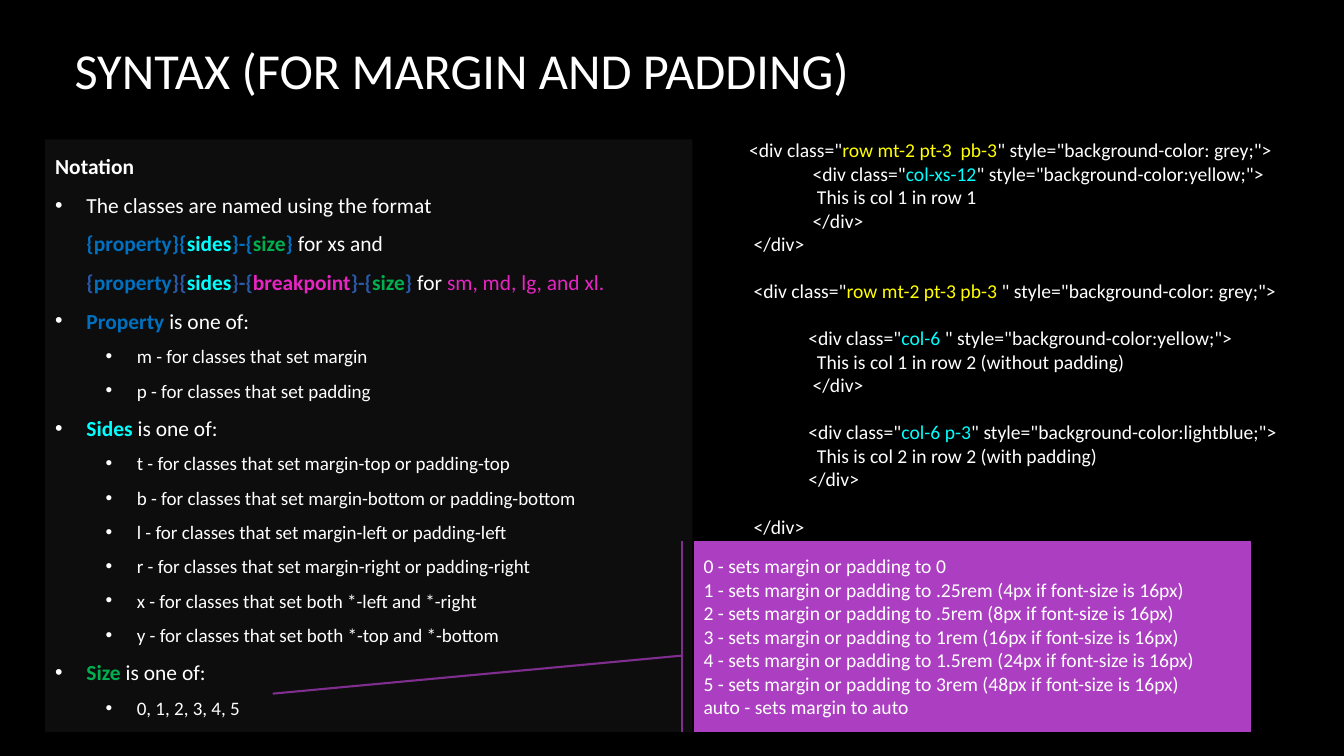
from copy import deepcopy

from lxml import etree
from pptx import Presentation
from pptx.dml.color import RGBColor
from pptx.enum.shapes import MSO_SHAPE
from pptx.enum.text import MSO_ANCHOR, PP_ALIGN
from pptx.oxml.ns import qn
from pptx.util import Cm, Pt

RECTANGLE = MSO_SHAPE.RECTANGLE
CALLOUT = MSO_SHAPE.LINE_CALLOUT_1_ACCENT_BAR
TOP, MIDDLE = MSO_ANCHOR.TOP, MSO_ANCHOR.MIDDLE
LEFT = PP_ALIGN.LEFT

BLACK = RGBColor(0x00, 0x00, 0x00)
WHITE = RGBColor(0xFF, 0xFF, 0xFF)
PANEL = RGBColor(0x0D, 0x0D, 0x0D)
BLUE = RGBColor(0x00, 0x70, 0xC0)
DARK_BLUE = RGBColor(0x2A, 0x59, 0xA8)
CYAN = RGBColor(0x00, 0xFF, 0xFF)
GREEN = RGBColor(0x00, 0xB0, 0x50)
PINK = RGBColor(0xE8, 0x24, 0xC3)
YELLOW = RGBColor(0xFF, 0xFF, 0x00)
PURPLE = RGBColor(0xAC, 0x3E, 0xC1)
DARK_PURPLE = RGBColor(0x7F, 0x2E, 0x8F)
FONT = "Calibri"

# Content: a run is (text, colour, bold); "\n" at its end breaks the line
TITLE = "SYNTAX (FOR MARGIN AND PADDING)"

FORMATS = [
    ("The classes are named using the format\n", WHITE, False),
    ("{property}{", BLUE, True), ("sides", CYAN, True), ("}-{", BLUE, True),
    ("size", GREEN, True), ("}", BLUE, True), (" for xs and\n", WHITE, False),
    ("{", DARK_BLUE, True), ("property", BLUE, True), ("}{", DARK_BLUE, True),
    ("sides", CYAN, True), ("}-{", DARK_BLUE, True), ("breakpoint", PINK, True),
    ("}-{", DARK_BLUE, True), ("size", GREEN, True), ("}", DARK_BLUE, True),
    (" for ", WHITE, False), ("sm, md, lg, and xl.", PINK, False),
]

# Each part of a class name: name, colour, choices
PARTS = [
    ("Property", BLUE, ["m - for classes that set margin",
                        "p - for classes that set padding"]),
    ("Sides", CYAN, ["t - for classes that set margin-top or padding-top",
                     "b - for classes that set margin-bottom or padding-bottom",
                     "l - for classes that set margin-left or padding-left",
                     "r - for classes that set margin-right or padding-right",
                     "x - for classes that set both *-left and *-right",
                     "y - for classes that set both *-top and *-bottom"]),
    ("Size", GREEN, ["0, 1, 2, 3, 4, 5"]),
]

# Code lines: indent in cm, blank lines before, text pieces; the second piece is coloured
CODE = [
    (0.11, 0, ['<div class="', "row mt-2 pt-3  pb-3", '" style="background-color: grey;">'], YELLOW),
    (1.71, 0, ['<div class="', "col-xs-12", '" style="background-color:yellow;">'], CYAN),
    (1.82, 0, ["This is col 1 in row 1"], None),
    (1.71, 0, ["</div>"], None),
    (0.22, 0, ["</div>"], None),
    (0.22, 1, ['<div class="', "row mt-2 pt-3 pb-3 ", '" style="background-color: grey;">'], YELLOW),
    (1.6, 1, ['<div class="', "col-6 ", '" style="background-color:yellow;">'], CYAN),
    (1.82, 0, ["This is col 1 in row 2 (without padding)"], None),
    (1.71, 0, ["</div>"], None),
    (1.6, 1, ['<div class="', "col-6 p-3", '" style="background-color:lightblue;">'], CYAN),
    (1.82, 0, ["This is col 2 in row 2 (with padding)"], None),
    (1.6, 0, ["</div>"], None),
    (0.22, 1, ["</div>"], None),
]
CODE_LINE = 16.8

SIZES = [
    "0 - sets margin or padding to 0",
    "1 - sets margin or padding to .25rem (4px if font-size is 16px)",
    "2 - sets margin or padding to .5rem (8px if font-size is 16px)",
    "3 - sets margin or padding to 1rem (16px if font-size is 16px)",
    "4 - sets margin or padding to 1.5rem (24px if font-size is 16px)",
    "5 - sets margin or padding to 3rem (48px if font-size is 16px)",
    "auto - sets margin to auto",
]


def add_paragraph(frame, runs, size, indent=0.0, bullet=False):
    """Append a paragraph, using the empty first one when it is free."""
    paragraph = frame.paragraphs[0]
    if paragraph.runs:
        paragraph = frame.add_paragraph()
    paragraph.alignment = LEFT
    for text, colour, bold in runs:
        run = paragraph.add_run()
        run.text = text.rstrip("\n")
        run.font.name = FONT
        run.font.size = Pt(size)
        run.font.bold = bold
        run.font.color.rgb = colour
        if text.endswith("\n"):
            paragraph.add_line_break()
            paragraph._p[-1].append(deepcopy(run._r.rPr))
    properties = paragraph._p.get_or_add_pPr()
    properties.set("marL", str(Cm(indent)))
    if bullet:
        properties.set("indent", str(Cm(-0.79)))
        bullet_colour = etree.SubElement(properties, qn("a:buClr"))
        etree.SubElement(bullet_colour, qn("a:srgbClr"), val=str(WHITE))
        etree.SubElement(properties, qn("a:buFont"), typeface="Arial")
        etree.SubElement(properties, qn("a:buChar"), char="•")
    return paragraph


def prepare_frame(shape, anchor):
    frame = shape.text_frame
    frame.word_wrap = True
    frame.vertical_anchor = anchor
    return frame


def add_filled_shape(kind, box, colour):
    shape = slide.shapes.add_shape(kind, *map(Cm, box))
    shape.shadow.inherit = False
    shape.fill.solid()
    shape.fill.fore_color.rgb = colour
    return shape


presentation = Presentation()
presentation.slide_width = Cm(33.87)
presentation.slide_height = Cm(19.05)
slide = presentation.slides.add_slide(presentation.slide_layouts[6])
slide.background.fill.solid()
slide.background.fill.fore_color.rgb = BLACK

# Title
title = slide.shapes.add_textbox(Cm(1.63), Cm(0), Cm(30.48), Cm(3.51))
add_paragraph(prepare_frame(title, MIDDLE), [(TITLE, WHITE, False)], 36)

# Notation panel
notation = add_filled_shape(RECTANGLE, (1.14, 3.51, 16.31, 14.94), PANEL)
notation.line.fill.background()
frame = prepare_frame(notation, TOP)
frame.margin_top = Cm(0.03)
add_paragraph(frame, [("Notation", WHITE, True)], 15.3)
add_paragraph(frame, FORMATS, 15.3, 0.79, True)
for name, colour, choices in PARTS:
    add_paragraph(frame, [(name, colour, True), (" is one of:", WHITE, False)], 15.3, 0.79, True)
    for choice in choices:
        add_paragraph(frame, [(choice, WHITE, False)], 13.6, 2.06, True)
for paragraph in frame.paragraphs:
    paragraph.line_spacing = 1.5

# Code example
code = slide.shapes.add_textbox(Cm(18.52), Cm(3.35), Cm(14.73), Cm(10.44))
frame = prepare_frame(code, TOP)
for indent, blank_lines, pieces, highlight in CODE:
    runs = [(piece, highlight if position == 1 else WHITE, False)
            for position, piece in enumerate(pieces)]
    paragraph = add_paragraph(frame, runs, 14, indent)
    paragraph.space_before = Pt(blank_lines * CODE_LINE)

# Callout explaining the sizes
callout = add_filled_shape(CALLOUT, (17.48, 13.64, 14.05, 4.8), PURPLE)
callout.line.color.rgb = DARK_PURPLE
callout.line.width = Pt(1.5)
for position, value in enumerate((0.6, -0.02, 0.8, -0.755)):
    callout.adjustments[position] = value
frame = prepare_frame(callout, MIDDLE)
for size_rule in SIZES:
    add_paragraph(frame, [(size_rule, WHITE, False)], 14)

presentation.save("out.pptx")
